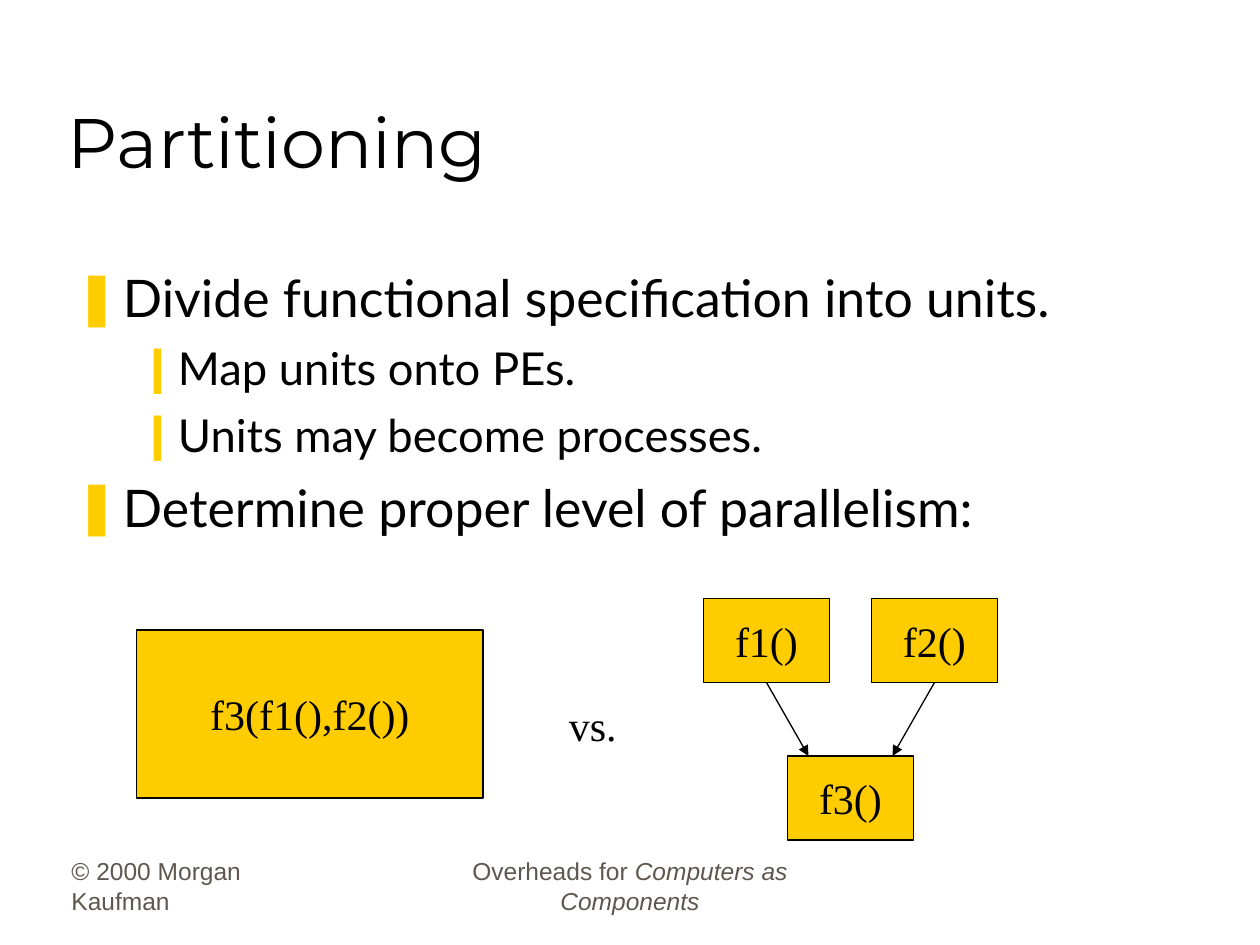
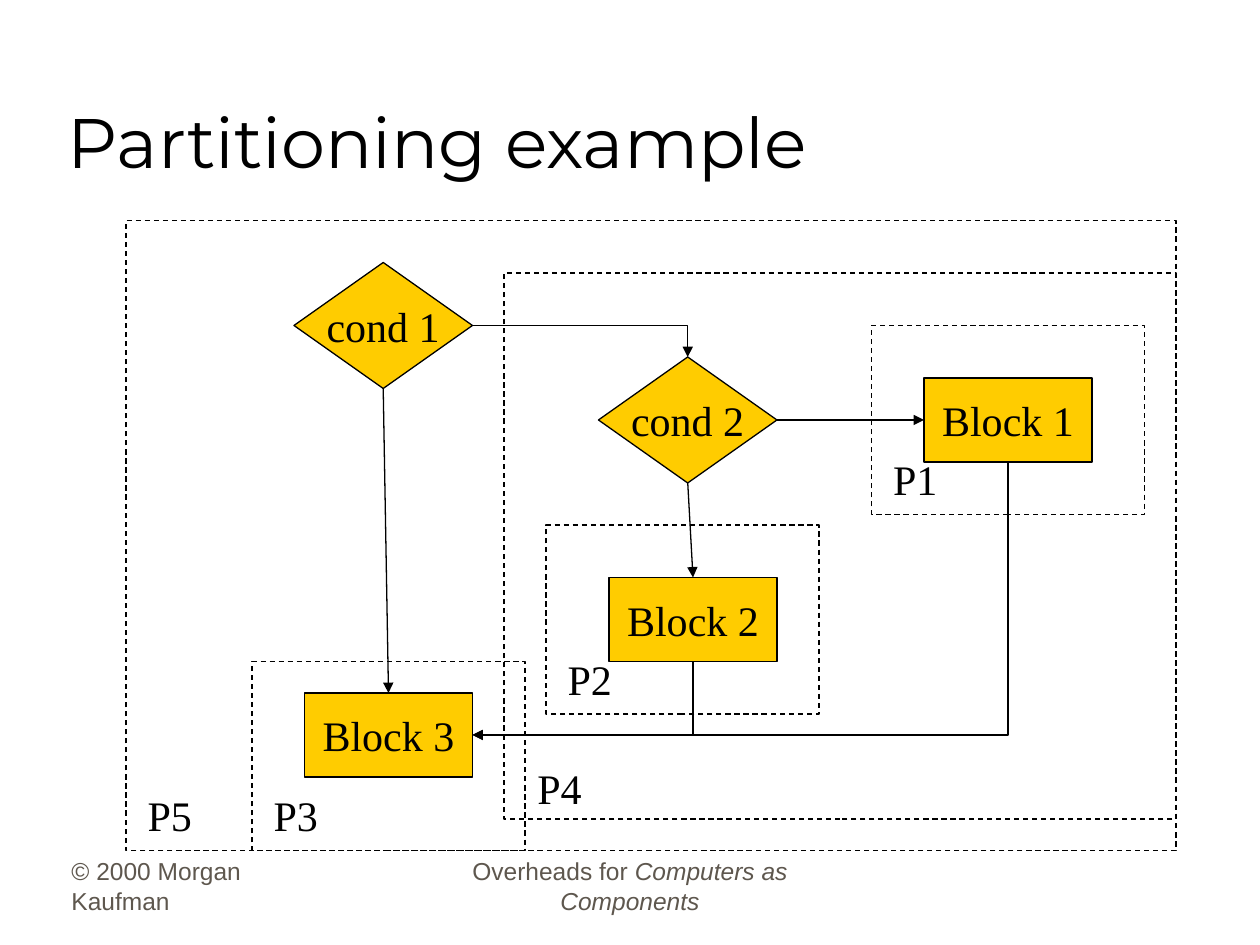
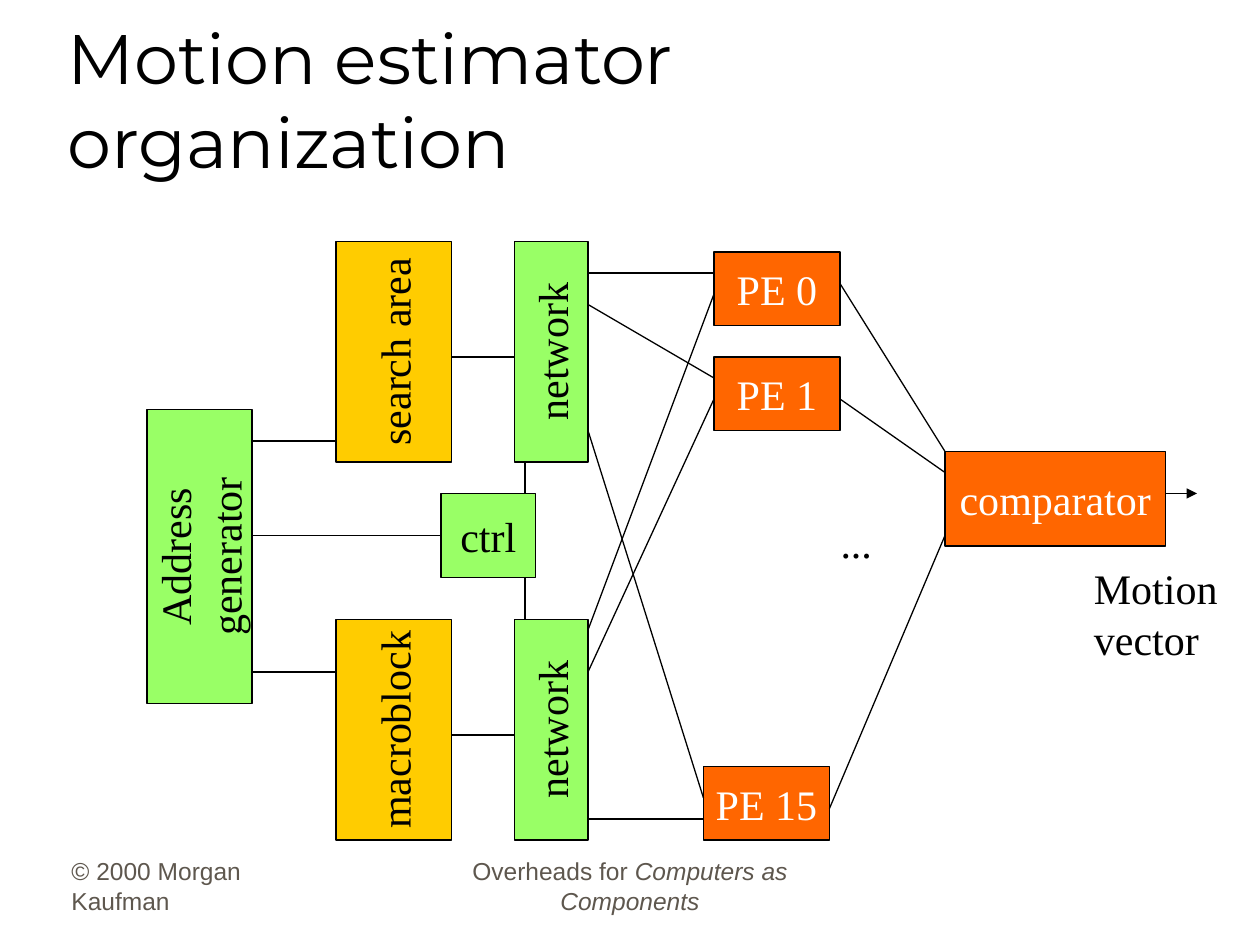
from lxml.etree import SubElement
from pptx import Presentation
from pptx.dml.color import RGBColor
from pptx.enum.dml import MSO_LINE
from pptx.enum.shapes import MSO_CONNECTOR as CONN, MSO_SHAPE as SHAPE
from pptx.enum.text import MSO_ANCHOR as ANCHOR, MSO_AUTO_SIZE as AUTO, PP_ALIGN as ALIGN
from pptx.oxml.ns import qn
from pptx.util import Emu, Pt

COLORS = {"black": "000000", "white": "FFFFFF", "gray": "5E574E",
          "yellow": "FFCC00", "green": "99FF66", "orange": "FF6600"}
TITLE = {"name": "Montserrat", "size": Pt(40)}
FOOTER = {"name": "Arial", "size": Pt(14)}
LABEL = {"name": "Times New Roman", "size": Pt(24)}
LEVELS = [
    {"bullet": "❚", "margin": 36, "hang": 36, "before": 8, "size": 29.6},
    {"bullet": "❙", "margin": 78, "hang": 30, "before": 7, "size": 25.9},
]
TOP, LEFT, BOTTOM, RIGHT = range(4)


def px(n):
    """Turn pixels, 96 to the inch, into EMU."""
    return Emu(n * 9525)


def rgb(color):
    """Look up a named colour."""
    return RGBColor.from_string(COLORS[color])


def apply(obj, values):
    """Set each attribute of obj from a dict."""
    for name, value in values.items():
        setattr(obj, name, value)


def place(shape, box):
    """Move and size a shape."""
    apply(shape, dict(zip(("left", "top", "width", "height"), map(px, box))))


def style_text(tf, font, color="black", align=ALIGN.LEFT):
    """Format every run of a text frame."""
    for p in tf.paragraphs:
        p.alignment = align
        for r in p.runs:
            apply(r.font, font)
            r.font.color.rgb = rgb(color)


def add_footer(s, box, parts, align):
    """Add a footer made of (text, italic) parts."""
    tf = s.shapes.add_textbox(*map(px, box)).text_frame
    apply(tf, {"word_wrap": True, "vertical_anchor": ANCHOR.BOTTOM})
    for text, italic in parts:
        r = tf.paragraphs[0].add_run()
        r.text = text
        r.font.italic = italic
    style_text(tf, FOOTER, "gray", align)


def new_slide(prs, title, layout=5):
    """Add a slide with its footers and title."""
    s = prs.slides.add_slide(prs.slide_layouts[layout])
    add_footer(s, (45, 654, 200, 48), [("© 2000 Morgan Kaufman", None)], ALIGN.LEFT)
    add_footer(s, (328, 654, 304, 48),
               [("Overheads for ", None), ("Computers as Components", True)], ALIGN.CENTER)
    place(s.shapes.title, (42, 24, 816, 120))
    tf = s.shapes.title.text_frame
    tf.text = title
    apply(tf, {"auto_size": AUTO.NONE, "vertical_anchor": ANCHOR.BOTTOM})
    style_text(tf, TITLE)
    return s


def add_bullets(s, box, items):
    """Fill the body placeholder with (level, text) items."""
    body = s.placeholders[1]
    place(body, box)
    tf = body.text_frame
    tf.text = "\n".join(text for _, text in items)
    tf.auto_size = AUTO.NONE
    style_text(tf, {"name": "Lato"})
    for i, (p, (level, _)) in enumerate(zip(tf.paragraphs, items)):
        look = LEVELS[level]
        apply(p, {"level": level, "space_before": Pt(look["before"] if i else 0)})
        p.runs[0].font.size = Pt(look["size"])
        pPr = p._p.get_or_add_pPr()
        pPr.set("marL", str(px(look["margin"])))
        pPr.set("indent", str(-px(look["hang"])))
        SubElement(SubElement(pPr, qn("a:buClr")), qn("a:srgbClr"), val=COLORS["yellow"])
        SubElement(pPr, qn("a:buChar"), char=look["bullet"])


def style_line(line):
    """Give a line the thin black look."""
    line.color.rgb = rgb("black")
    line.width = Pt(0.75)


def add_box(s, text, box, fill="yellow", kind=SHAPE.RECTANGLE, color="black", rotation=0):
    """Add a filled shape with a centred label."""
    sp = s.shapes.add_shape(kind, *map(px, box))
    sp.shadow.inherit = False
    sp.rotation = rotation
    sp.fill.solid()
    sp.fill.fore_color.rgb = rgb(fill)
    style_line(sp.line)
    tf = sp.text_frame
    tf.text = text
    apply(tf, {"word_wrap": False, "vertical_anchor": ANCHOR.MIDDLE})
    style_text(tf, LABEL, color, ALIGN.CENTER)
    return sp


def add_label(parent, text, box, wrap=False):
    """Add free text."""
    tf = parent.shapes.add_textbox(*map(px, box)).text_frame
    tf.text = text
    apply(tf, {"word_wrap": wrap, "auto_size": AUTO.SHAPE_TO_FIT_TEXT})
    style_text(tf, LABEL)


def add_partition(s, name, box, dx=7, dy=51):
    """Group a dashed frame with the name near its lower left corner."""
    grp = s.shapes.add_group_shape()
    sp = grp.shapes.add_shape(SHAPE.RECTANGLE, *map(px, box))
    sp.shadow.inherit = False
    sp.fill.background()
    style_line(sp.line)
    sp.line.dash_style = MSO_LINE.DASH
    left, top, _, height = box
    add_label(grp, name, (left + dx, top + height - dy, 53, 48))


def add_link(s, start, end, arrow=False, kind=CONN.STRAIGHT, begin=None, finish=None):
    """Add a line, joined to any (shape, site) given for its ends."""
    c = s.shapes.add_connector(kind, *map(px, start + end))
    if begin:
        c.begin_connect(*begin)
    if finish:
        c.end_connect(*finish)
    style_line(c.line)
    if arrow:
        SubElement(c.line._get_or_add_ln(), qn("a:tailEnd"), type="triangle")
    SubElement(c._element.spPr, qn("a:effectLst"))
    return c


def add_elbow(s, start, end, down_first=False):
    """Add an arrow with one right-angled bend."""
    c = add_link(s, start, end, True, CONN.ELBOW)
    c._element.spPr.find(qn("a:prstGeom")).set("prst", "bentConnector2")
    if down_first:
        (x1, y1), (x2, y2) = start, end
        width, height = y2 - y1, x1 - x2
        place(c, ((x1 + x2 - width) // 2, (y1 + y2 - height) // 2, width, height))
        xfrm = c._element.spPr.find(qn("a:xfrm"))
        xfrm.attrib.pop("flipH", None)
        xfrm.set("rot", "5400000")


def build_partitioning(prs):
    """Build the slide on splitting a function into units."""
    s = new_slide(prs, "Partitioning", 1)
    add_bullets(s, (48, 198, 858, 234), [
        (0, "Divide functional specification into units."),
        (1, "Map units onto PEs."),
        (1, "Units may become processes."),
        (0, "Determine proper level of parallelism:")])
    add_box(s, "f3(f1(),f2())", (104, 480, 264, 128))
    f1 = add_box(s, "f1()", (536, 456, 96, 64))
    f2 = add_box(s, "f2()", (664, 456, 96, 64))
    add_box(s, "f3()", (600, 576, 96, 64))
    add_label(s, "vs.", (424, 528, 56, 48))
    add_link(s, (584, 520), (616, 576), True, begin=(f1, BOTTOM))
    add_link(s, (712, 520), (680, 576), True, begin=(f2, BOTTOM))


def build_example(prs):
    """Build the flow chart with its five partitions."""
    s = new_slide(prs, "Partitioning example")
    block1, block2, block3 = [
        add_box(s, f"Block {i}", (x, y, 128, 64))
        for i, (x, y) in enumerate([(704, 288), (464, 440), (232, 528)], 1)]
    cond1, cond2 = [
        add_box(s, f"cond {i}", (x, y, 136, 96), kind=SHAPE.DIAMOND)
        for i, (x, y) in enumerate([(224, 200), (456, 272)], 1)]
    add_elbow(s, (360, 248), (524, 272))
    add_link(s, (592, 320), (704, 320), True, begin=(cond2, RIGHT), finish=(block1, LEFT))
    add_link(s, (524, 368), (528, 440), True, begin=(cond2, BOTTOM), finish=(block2, TOP))
    add_link(s, (292, 296), (296, 528), True, begin=(cond1, BOTTOM), finish=(block3, TOP))
    for start in [(768, 352), (528, 504)]:
        add_elbow(s, start, (360, 560), down_first=True)
    for i, (x, y) in enumerate([(664, 248), (416, 400), (192, 504)], 1):
        add_partition(s, f"P{i}", (x, y, 208, 144))
    add_partition(s, "P4", (384, 208, 512, 416), 16, 48)
    add_partition(s, "P5", (96, 168, 800, 480))


def build_estimator(prs):
    """Build the block diagram of the motion estimator."""
    s = new_slide(prs, "Motion estimator organization")
    add_box(s, "Address\ngenerator", (40, 384, 224, 80), "green", rotation=270)
    for name, y in [("search area", 224), ("macroblock", 512)]:
        add_box(s, name, (216, y, 168, 88), rotation=270)
        add_box(s, "network", (336, y + 16, 168, 56), "green", rotation=270)
    ctrl = add_box(s, "ctrl", (336, 376, 72, 64), "green")
    for name, box in [("PE 0", (544, 192, 96, 56)), ("PE 1", (544, 272, 96, 56)),
                      ("PE 15", (536, 584, 96, 56)), ("comparator", (720, 344, 168, 72))]:
        add_box(s, name, box, "orange", color="white")
    wires = [
        ((192, 336), (256, 336)), ((192, 512), (256, 512)),
        ((344, 560), (392, 560)), ((344, 272), (392, 272)),
        ((400, 440), (400, 472)), ((400, 352), (400, 376)),
        ((640, 216), (720, 344)), ((640, 304), (720, 360)), ((632, 616), (720, 408)),
        ((448, 208), (544, 208)), ((448, 232), (544, 288)), ((448, 328), (536, 608)),
        ((448, 624), (536, 624)), ((448, 480), (544, 224)), ((448, 512), (544, 304))]
    for start, end in wires:
        add_link(s, start, end)
    add_link(s, (336, 408), (192, 408), begin=(ctrl, LEFT))
    add_link(s, (888, 376), (912, 376), True)
    add_label(s, "Motion\nvector", (824, 424, 124, 86), wrap=True)
    add_label(s, "...", (631, 389, 43, 48))


def main():
    """Build and save the three slides."""
    prs = Presentation()
    apply(prs, {"slide_width": px(960), "slide_height": px(720)})
    for build in (build_partitioning, build_example, build_estimator):
        build(prs)
    prs.save("out.pptx")


if __name__ == "__main__":
    main()
